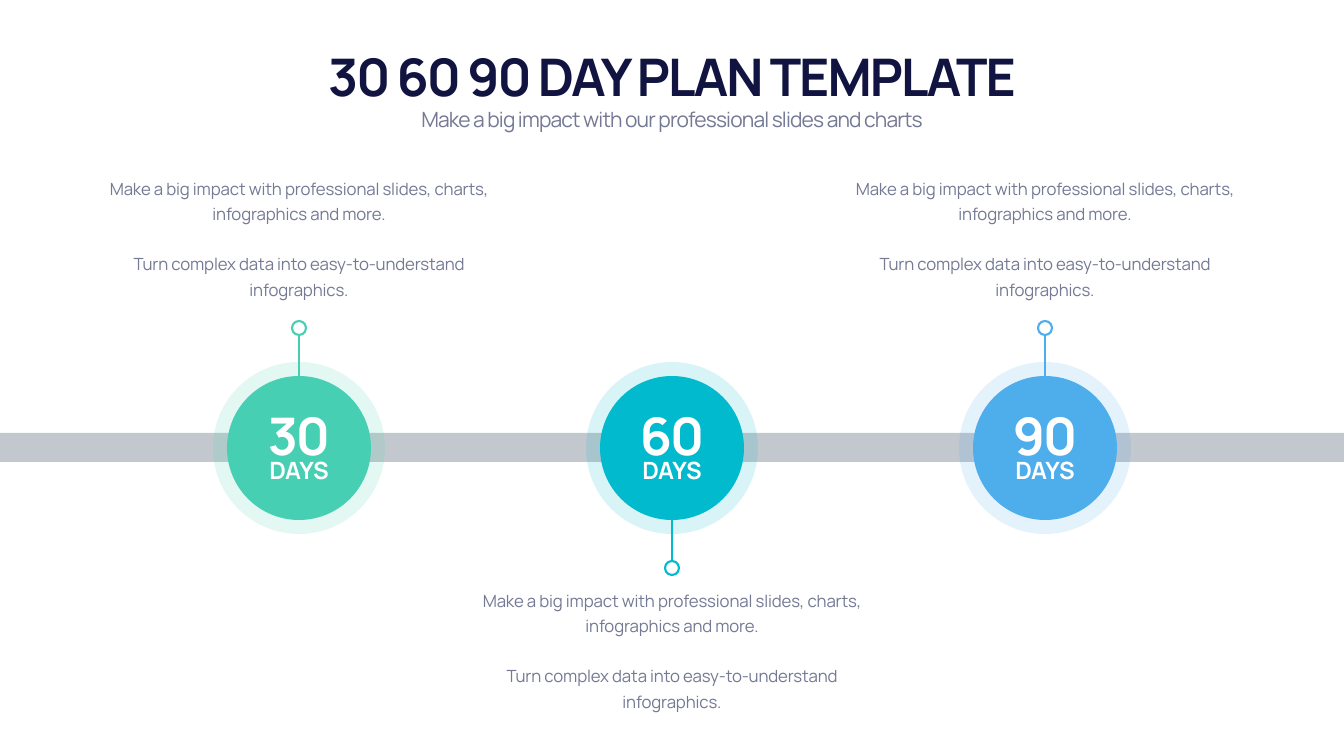
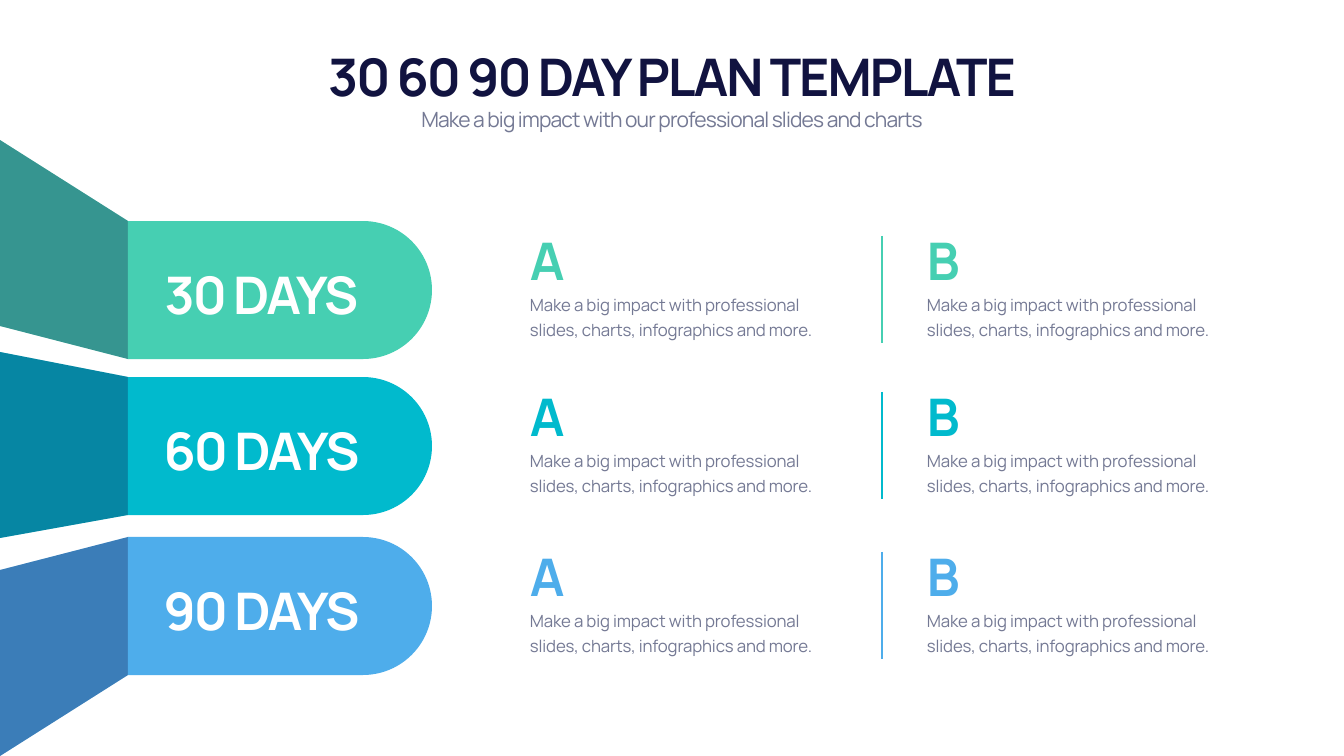
from pptx import Presentation
from pptx import util as u
from pptx.dml.color import RGBColor
from pptx.enum import shapes, text
from pptx.oxml import ns
from lxml import etree

PX = 914400 / 50.4
HUES = {"ink": "111340", "gray": "747994", "band": "C3C8CE", "white": "FFFFFF",
        "shade": "121143", "30": "46CFB2", "60": "01BACD", "90": "4EADEB"}
SHAPE, ALIGN, ANCHOR = shapes.MSO_SHAPE, text.PP_ALIGN, text.MSO_ANCHOR
LINE = shapes.MSO_CONNECTOR.STRAIGHT

STYLES = {
    "head": {"font": {"size": u.Pt(74), "bold": True}, "gap": -290},
    "sub": {"font": {"size": u.Pt(30), "bold": False}, "gap": -120},
    "unit": {"font": {"size": u.Pt(34), "bold": True}, "gap": -30},
    "body": {"font": {"size": u.Pt(24), "bold": False}, "gap": -20},
}
PITCH = "Make a big impact with professional slides, charts, infographics and more."
TURN = "Turn complex data into easy-to-understand infographics."


def paint(shape, fill=None, line=None, width=3, alpha=100):
    if fill:
        shape.fill.solid()
        shape.fill.fore_color.rgb = RGBColor.from_string(HUES[fill])
        if alpha < 100:
            tone = shape.fill.fore_color._xFill.find(ns.qn("a:srgbClr"))
            etree.SubElement(tone, ns.qn("a:alpha"), val=str(alpha * 1000))
    if line:
        shape.line.color.rgb = RGBColor.from_string(HUES[line])
        shape.line.width = u.Pt(width)
    else:
        shape.line.fill.background()
    etree.SubElement(shape._element.spPr, ns.qn("a:effectLst"))


def write(slide, place, lines, style, hue, align=ALIGN.CENTER, anchor=ANCHOR.TOP, box=None):
    spot = [round(n * PX) for n in place]
    box = box or slide.shapes.add_textbox(*spot)
    for name, value in zip(("left", "top", "width", "height"), spot):
        setattr(box, name, value)
    frame = box.text_frame
    frame.text = "\n".join(lines)
    look = {"word_wrap": True, "auto_size": text.MSO_AUTO_SIZE.SHAPE_TO_FIT_TEXT,
            "vertical_anchor": anchor}
    for name, value in look.items():
        setattr(frame, name, value)
    for i, para in enumerate(frame.paragraphs):
        form = {"alignment": align, "space_before": u.Pt(36 if i else 0)}
        if style == "body":
            form["line_spacing"] = u.Pt(36)
        for name, value in form.items():
            setattr(para, name, value)
        run = para.runs[0]
        for name, value in {"name": "Manrope", **STYLES[style]["font"]}.items():
            setattr(run.font, name, value)
        run.font.color.rgb = RGBColor.from_string(HUES[hue])
        run.font._element.set("spc", str(STYLES[style]["gap"]))


deck = Presentation()
deck.slide_width, deck.slide_height = round(1344 * PX), round(756 * PX)
pages = [deck.slides.add_slide(deck.slide_layouts[0]) for _ in range(2)]
for page in pages:
    write(page, (84, 41, 1176, 68), ["30 60 90 DAY PLAN TEMPLATE"], "head", "ink",
          anchor=ANCHOR.BOTTOM, box=page.shapes.title)
    write(page, (84, 104, 1176, 31), ["Make a big impact with our professional slides and charts"],
          "sub", "gray", box=page.placeholders[1])

page = pages[0]
band = page.shapes.add_shape(SHAPE.RECTANGLE, *[round(n * PX) for n in (0, 433, 1344, 29)])
paint(band, "band")
mid = 448
for i, day in enumerate(("30", "60", "90")):
    x = 299 + 373 * i
    side = 1 if day == "60" else -1
    tip = mid + 120 * side
    pin = page.shapes.add_connector(
        LINE, *[round(n * PX) for n in (x, tip, x, mid + 72 * side)])
    paint(pin, line=day)
    for y, size, fill, line, alpha in ((mid, 172, day, None, 15), (mid, 144, day, None, 100),
                                       (tip, 14, "white", day, 100)):
        disc = page.shapes.add_shape(
            SHAPE.OVAL, *[round(n * PX) for n in (x - size / 2, y - size / 2, size, size)])
        paint(disc, fill, line, alpha=alpha)
    write(page, (x - 59, 453, 118, 34), ["DAYS"], "unit", "white")
    write(page, (x - 59, 400, 118, 68), [day], "head", "white", anchor=ANCHOR.BOTTOM)
    write(page, (x - 199, 583 if side > 0 else 171, 398, 131), [PITCH, TURN], "body", "gray",
          anchor=ANCHOR.TOP if side > 0 else ANCHOR.BOTTOM)

page = pages[1]
for day, top, edge in (("30", 221, 140), ("60", 377, 352), ("90", 537, 570)):
    rule = page.shapes.add_connector(
        LINE, *[round(n * PX) for n in (882, top + 15, 882, top + 122)])
    paint(rule, line=day, width=2)
    for fill, alpha in ((day, 100), ("shade", 30)):
        path = page.shapes.build_freeform(128, top + 138, scale=PX)
        path.add_line_segments([(0, edge + 186), (0, edge), (128, top)])
        paint(path.convert_to_shape(), fill, alpha=alpha)
    tab = page.shapes.add_shape(
        SHAPE.ROUND_2_SAME_RECTANGLE, *[round(n * PX) for n in (211, top - 83, 138, 304)])
    tab.rotation = 90
    tab.adjustments[0], tab.adjustments[1] = 0.5, 0
    paint(tab, day)
    write(page, (137, top + 39, 249, 68), [day + " DAYS"], "head", "white", anchor=ANCHOR.MIDDLE)
    for mark, x in (("A", 525), ("B", 922)):
        write(page, (x, top + 66, 318, 55), [PITCH], "body", "gray", ALIGN.LEFT)
        write(page, (x, top + 4, 318, 68), [mark], "head", day, ALIGN.LEFT, ANCHOR.BOTTOM)

deck.save("out.pptx")
